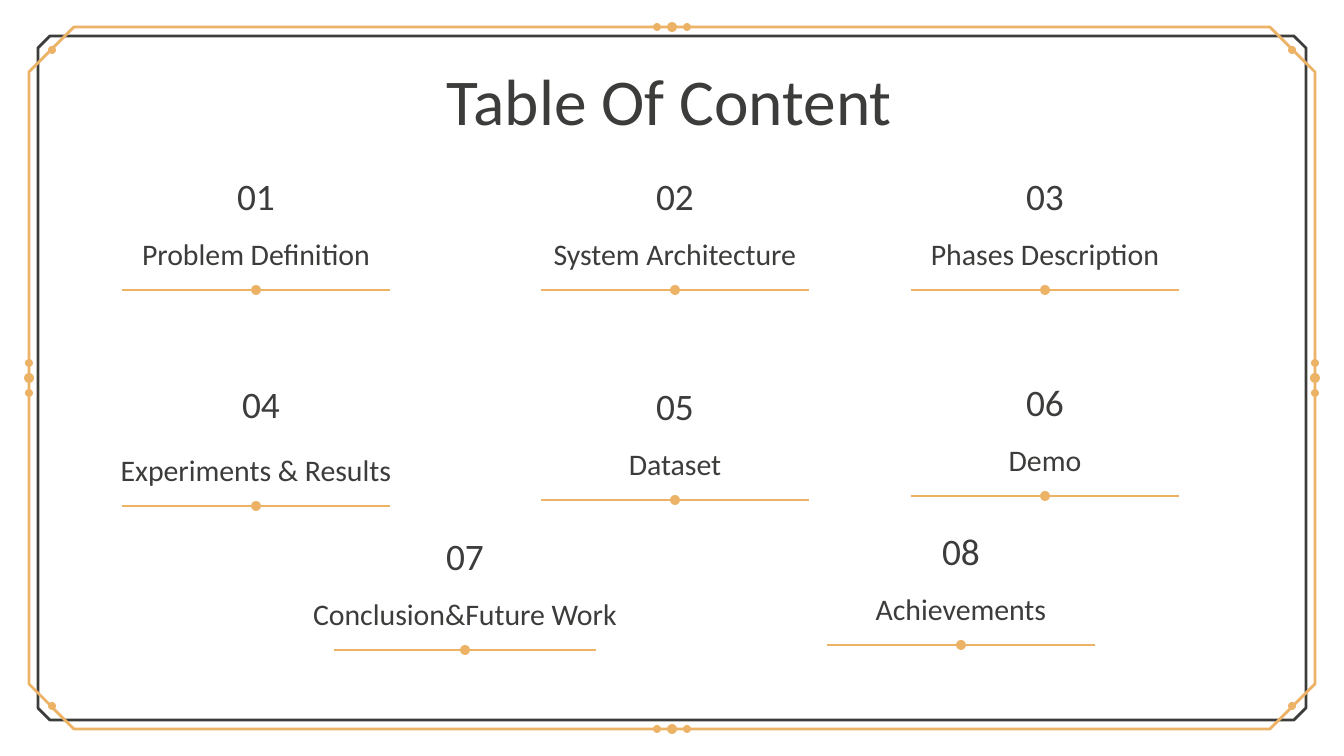
from itertools import product

from lxml.etree import SubElement
from pptx import Presentation
from pptx.dml.color import RGBColor
from pptx.enum.shapes import MSO_CONNECTOR, MSO_SHAPE
from pptx.enum.text import MSO_ANCHOR, PP_ALIGN
from pptx.oxml.ns import qn
from pptx.util import Emu, Inches, Pt

SCALE = 914400 / 134.4  # EMU in one px
WIDTH, HEIGHT = 1344, 756
DARK, GOLD = "3C3C3B", "ECB266"
LINE_WIDTH = Pt(1.5)


def px(length):
    return Emu(round(length * SCALE))


def color(code):
    return RGBColor.from_string(code)


class Painter:
    """Holds the text style and the slide being drawn."""

    font = "Calibri"

    def __init__(self, page):
        self.page = page
        self.shapes = page.shapes

    def text(self, words, left, top, width, height, size, anchor):
        box = self.shapes.add_textbox(px(left), px(top), px(width), px(height))
        frame = box.text_frame
        frame.word_wrap = True
        frame.vertical_anchor = anchor
        frame.margin_left = frame.margin_right = Inches(0.1)
        frame.margin_top = frame.margin_bottom = Inches(0.1)
        para = frame.paragraphs[0]
        para.text = words
        para.alignment = PP_ALIGN.CENTER
        para.font.name = self.font
        para.font.size = Pt(size)
        para.font.color.rgb = color(DARK)

    def dot(self, x, y, size):
        """Draws a round dot centred on x, y."""
        dot = self.shapes.add_shape(MSO_SHAPE.OVAL, px(x - size / 2), px(y - size / 2),
                                    px(size), px(size))
        dot.shadow.inherit = False
        dot.fill.solid()
        dot.fill.fore_color.rgb = color(GOLD)
        dot.line.fill.background()

    def rule(self, center, y, width):
        """Draws a level line with a dot in its middle."""
        left = center - width / 2
        line = self.shapes.add_connector(MSO_CONNECTOR.STRAIGHT, px(left), px(y),
                                         px(left + width), px(y))
        line.line.color.rgb = color(GOLD)
        line.line.width = LINE_WIDTH
        SubElement(line._element.spPr, qn("a:effectLst"))
        self.dot(center, y, 10)

    def border(self, x, y, cut, line_color):
        """Draws a frame with cut corners, inset by x and y from the slide edges."""
        right, bottom = WIDTH - x, HEIGHT - y
        points = [(x + cut, y), (right - cut, y), (right, y + cut), (right, bottom - cut),
                  (right - cut, bottom), (x + cut, bottom), (x, bottom - cut), (x, y + cut)]
        builder = self.shapes.build_freeform(*points[0], scale=SCALE)
        builder.add_line_segments(points[1:], close=True)
        border = builder.convert_to_shape()
        border.shadow.inherit = False
        border.fill.background()
        border.line.color.rgb = color(line_color)
        border.line.width = LINE_WIDTH

    def ornaments(self, x, y):
        """Adds the dots on the corners and the side middles of the gold border."""
        for corner_x, corner_y in product((52, WIDTH - 52), (50, HEIGHT - 50)):
            self.dot(corner_x, corner_y, 8)
        for step, size in ((-15, 8), (0, 10), (15, 8)):
            for edge in (y, HEIGHT - y):
                self.dot(WIDTH / 2 + step, edge, size)
            for edge in (x, WIDTH - x):
                self.dot(edge, HEIGHT / 2 + step, size)

    def entry(self, number, label, center, y, width=268, shift=0, rise=94):
        """Draws one entry; y is its rule, shift and rise place the number above it."""
        self.text(number, center + shift - 54, y - rise - 30, 108, 60, 20, MSO_ANCHOR.MIDDLE)
        self.text(label, center - 212, y - 71, 424, 66, 16, MSO_ANCHOR.BOTTOM)
        self.rule(center, y, width)


def main():
    deck = Presentation()
    deck.slide_width, deck.slide_height = px(WIDTH), px(HEIGHT)
    painter = Painter(deck.slides.add_slide(deck.slide_layouts[6]))

    painter.border(38, 36, 12, DARK)
    painter.border(29, 27, 45, GOLD)
    painter.ornaments(29, 27)
    painter.text("Table Of Content", 103, 47, 1133, 85, 35, MSO_ANCHOR.TOP)

    left, middle, right = 256, 675, 1045
    painter.entry("01", "Problem Definition", left, 290)
    painter.entry("02", "System Architecture", middle, 290)
    painter.entry("03", "Phases Description", right, 290)
    painter.entry("04", "Experiments & Results", left, 506, shift=5, rise=102)
    painter.entry("05", "Dataset", middle, 500)
    painter.entry("06", "Demo", right, 496)
    painter.entry("07", "Conclusion&Future Work", 465, 650, width=262)
    painter.entry("08", "Achievements", 961, 645)

    deck.save("out.pptx")


if __name__ == "__main__":
    main()
